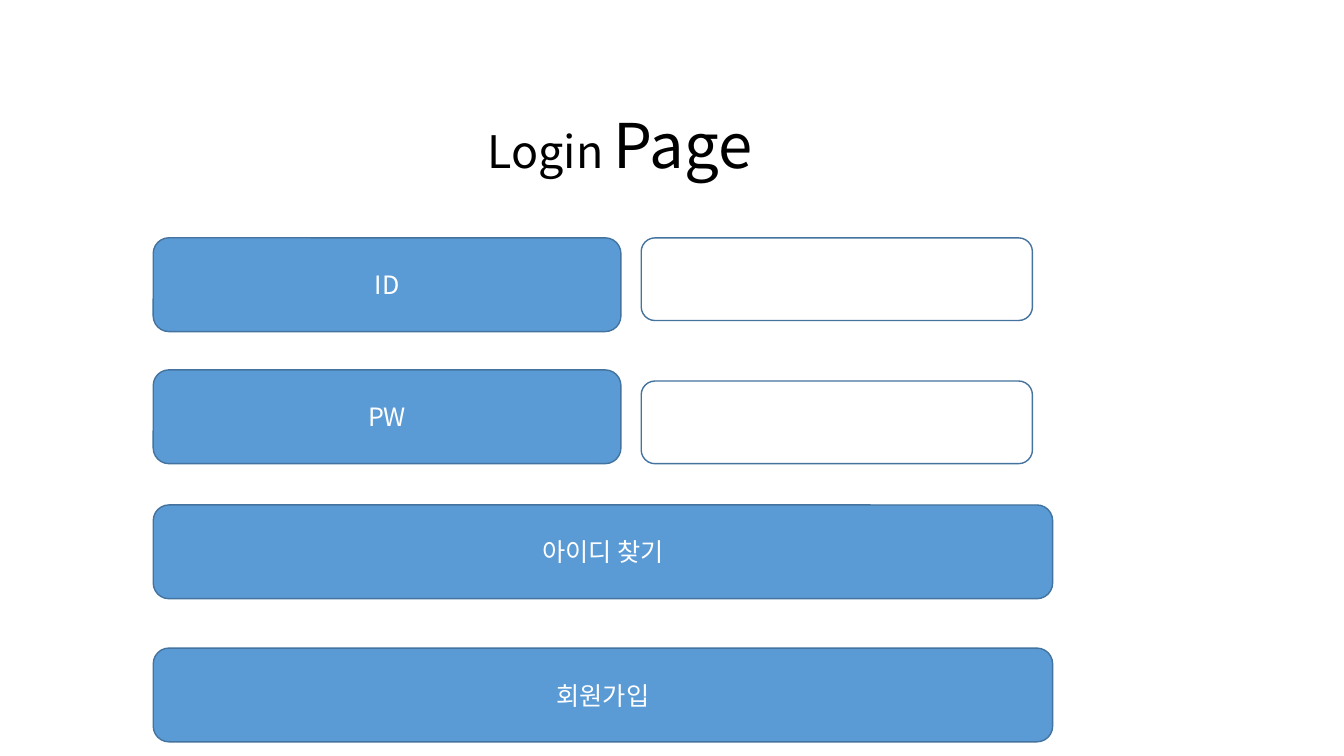
from lxml import etree
from pptx import Presentation
from pptx.dml.color import RGBColor
from pptx.enum.shapes import MSO_SHAPE
from pptx.enum.text import MSO_ANCHOR, MSO_AUTO_SIZE, PP_ALIGN
from pptx.oxml.ns import qn
from pptx.util import Inches, Pt

ROUNDED = MSO_SHAPE.ROUNDED_RECTANGLE
CENTER = PP_ALIGN.CENTER
TOP = MSO_ANCHOR.TOP
MIDDLE = MSO_ANCHOR.MIDDLE
FIT_SHAPE = MSO_AUTO_SIZE.SHAPE_TO_FIT_TEXT
TITLE_ONLY = 5

FONT = "Noto Sans CJK KR"
BLUE, OUTLINE, WHITE, BLACK = "5B9BD5", "43739E", "FFFFFF", "000000"

SLIDE_WIDTH, SLIDE_HEIGHT = 13.33, 7.5
TITLE_BOX = (3.65, 1.01, 5.37, 0.84)
FORM_LEFT, FORM_WIDTH = 1.52, 8.92
ROW_HEIGHT = 0.93
LABEL_SHARE = 0.52
FIELD_START, FIELD_SHARE, FIELD_HEIGHT = 0.5426, 0.435, 0.82
CREDENTIALS = [("ID", 2.36, TOP), ("PW", 3.67, None)]
BUTTONS = [("아이디 찾기", 5.01), ("회원가입", 6.43)]


def color(hex_value):
    return RGBColor.from_string(hex_value)


def apply(target, values):
    for name, value in values.items():
        setattr(target, name, value)


def add_run(paragraph, text, size, text_color):
    run = paragraph.add_run()
    run.text = text
    apply(run.font, {"name": FONT, "size": Pt(size), "bold": False})
    run.font.color.rgb = color(text_color)
    east_asian = etree.SubElement(run.font._element, qn("a:ea"))
    east_asian.set("typeface", FONT)


def add_title(slide, box):
    title = slide.shapes.title
    apply(title, dict(zip(("left", "top", "width", "height"), map(Inches, box))))
    apply(title.text_frame, {"word_wrap": True, "vertical_anchor": TOP, "auto_size": FIT_SHAPE})
    paragraph = title.text_frame.paragraphs[0]
    paragraph.alignment = CENTER
    for text, size in (("Login ", 32), ("Page", 44), ("\t", 32)):
        add_run(paragraph, text, size, BLACK)


def add_box(slide, box, fill, text=""):
    shape = slide.shapes.add_shape(ROUNDED, *map(Inches, box))
    shape.shadow.inherit = False
    shape.fill.solid()
    shape.fill.fore_color.rgb = color(fill)
    shape.line.color.rgb = color(OUTLINE)
    shape.line.width = Pt(1)
    if text:
        apply(shape.text_frame, {"word_wrap": True, "vertical_anchor": MIDDLE})
        paragraph = shape.text_frame.paragraphs[0]
        paragraph.alignment = CENTER
        add_run(paragraph, text, 18, WHITE)


def add_credential_row(slide, box, label, field_anchor):
    left, top, width, height = box
    add_box(slide, (left, top, width * LABEL_SHARE, height), BLUE, label)
    field_top = top if field_anchor == TOP else top + height - FIELD_HEIGHT
    field_left = left + width * FIELD_START
    add_box(slide, (field_left, field_top, width * FIELD_SHARE, FIELD_HEIGHT), WHITE)


def build_login_slide(presentation):
    slide = presentation.slides.add_slide(presentation.slide_layouts[TITLE_ONLY])
    add_title(slide, TITLE_BOX)
    for label, top, field_anchor in CREDENTIALS:
        add_credential_row(slide, (FORM_LEFT, top, FORM_WIDTH, ROW_HEIGHT), label, field_anchor)
    for label, top in BUTTONS:
        add_box(slide, (FORM_LEFT, top, FORM_WIDTH, ROW_HEIGHT), BLUE, label)


def main():
    presentation = Presentation()
    presentation.slide_width = Inches(SLIDE_WIDTH)
    presentation.slide_height = Inches(SLIDE_HEIGHT)
    build_login_slide(presentation)
    presentation.save("out.pptx")


if __name__ == "__main__":
    main()
